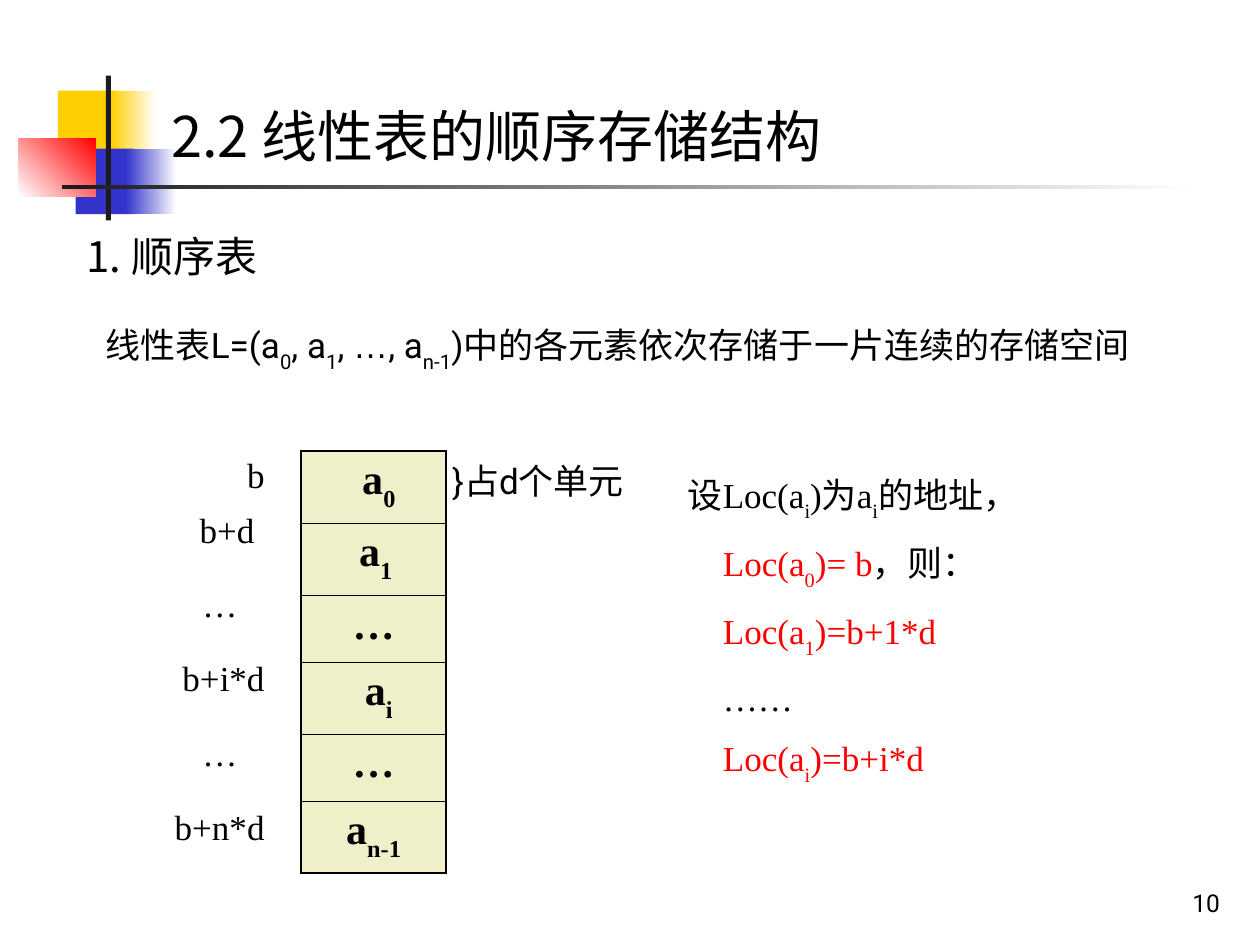
from lxml import etree
from pptx import Presentation
from pptx.dml.color import RGBColor
from pptx.enum.shapes import MSO_SHAPE as SHAPE
from pptx.enum.text import MSO_ANCHOR as ANCHOR, PP_ALIGN as ALIGN
from pptx.oxml.ns import qn
from pptx.util import Inches, Pt

BLACK = RGBColor(0x00, 0x00, 0x00)
WHITE = RGBColor(0xFF, 0xFF, 0xFF)
YELLOW = RGBColor(0xFF, 0xCF, 0x01)
BLUE = RGBColor(0x33, 0x33, 0xCC)
RED = RGBColor(0xFF, 0x00, 0x00)
INK = RGBColor(0x1C, 0x1C, 0x1C)
CREAM = RGBColor(0xEF, 0xF0, 0xCA)

SERIF, SANS = "Times New Roman", "Roboto"
CJK_SC, CJK_JP = "Noto Sans CJK SC", "Noto Sans CJK JP"


def add_runs(p, text, size, font, color=BLACK, bold=False):
    """Add text to a paragraph; parts between underscores become subscripts."""
    for i, part in enumerate(text.split("_")):
        if not part:
            continue
        r = p.add_run()
        r.text = part
        style = {"size": Pt(size), "name": font, "bold": bold}
        for name, value in style.items():
            setattr(r.font, name, value)
        r.font.color.rgb = color
        rPr = r._r.get_or_add_rPr()
        if i % 2:
            rPr.set("baseline", "-30000")
        ea = etree.SubElement(rPr, qn("a:ea"))
        ea.set("typeface", font if font == CJK_JP else CJK_SC)


def format_paragraph(p, **style):
    for name, value in style.items():
        setattr(p, name, value)


def add_textbox(slide, box, anchor=ANCHOR.TOP):
    tf = slide.shapes.add_textbox(*map(Inches, box)).text_frame
    tf.word_wrap = True
    tf.vertical_anchor = anchor
    return tf


def add_line_of_text(slide, box, text, size, font, anchor=ANCHOR.TOP, **style):
    p = add_textbox(slide, box, anchor).paragraphs[0]
    format_paragraph(p, **style)
    add_runs(p, text, size, font)


def add_block(slide, box, start, end=None, angle=0):
    """Add a borderless rectangle, solid or fading from start to end."""
    sp = slide.shapes.add_shape(SHAPE.RECTANGLE, *map(Inches, box))
    sp.shadow.inherit = False
    sp.line.fill.background()
    if end is None:
        sp.fill.solid()
        sp.fill.fore_color.rgb = start
        return
    sp.fill.gradient()
    sp.fill.gradient_angle = angle
    for stop, color in zip(sp.fill.gradient_stops, (start, end)):
        stop.color.rgb = color


def add_ornament(slide, left, top):
    blocks = [
        (0.31, 0.12, 0.48, 0.52, YELLOW),
        (0.73, 0.12, 0.36, 0.52, YELLOW, WHITE),
        (0.45, 0.58, 0.46, 0.52, BLUE),
        (0.85, 0.58, 0.40, 0.52, BLUE, WHITE),
        (0, 0.5, 0.61, 0.46, WHITE, RED, 45),
        (0.69, 0, 0.04, 1.15, INK),
        (0.34, 0.87, 9, 0.03, INK, WHITE),
    ]
    for x, y, w, h, *colors in blocks:
        add_block(slide, (left + x, top + y, w, h), *colors)


def add_column(slide, box, heights, fill):
    """Add a one-column table with plain filled cells and return the cells."""
    tbl = slide.shapes.add_table(len(heights), 1, *map(Inches, box)).table
    tbl.first_row = tbl.horz_banding = False
    cells = []
    for row, height in zip(tbl.rows, heights):
        row.height = Inches(height)
        cell = row.cells[0]
        cell.fill.solid()
        cell.fill.fore_color.rgb = fill
        cells.append(cell)
    return cells


def set_borders(cell, **widths):
    tcPr = cell._tc.get_or_add_tcPr()
    for i, (side, width) in enumerate(widths.items()):
        ln = etree.Element(qn(f"a:ln{side}"), w=str(Pt(width)))
        fill = etree.SubElement(ln, qn("a:solidFill"))
        etree.SubElement(fill, qn("a:srgbClr"), val=str(BLACK))
        tcPr.insert(i, ln)


def add_addresses(slide, box):
    rows = [("b", 0.18), ("b+d", 0.26), ("…", None),
            ("b+i*d", 0.18), ("…", None), ("b+n*d", 0.18)]
    cells = add_column(slide, box, [0.43] + [0.59] * 5, WHITE)
    for cell, (text, right) in zip(cells, rows):
        p = cell.text_frame.paragraphs[0]
        align = ALIGN.CENTER if right is None else ALIGN.RIGHT
        format_paragraph(p, alignment=align, space_before=Pt(5))
        if right is not None:
            cell.margin_right = Inches(right)
        add_runs(p, text, 20, SERIF)


def add_elements(slide, box):
    texts = [" a_0_", " a_1 _", "…", " a_i_", "…", "a_n-1_"]
    heights = [0.53 if text == "…" else 0.57 for text in texts]
    cells = add_column(slide, box, heights, CREAM)
    outer, inner = 1.08, 0.45
    for cell, text in zip(cells, texts):
        p = cell.text_frame.paragraphs[0]
        format_paragraph(p, alignment=ALIGN.CENTER, space_before=Pt(6))
        add_runs(p, text, 24, SERIF, bold=True)
        set_borders(cell, L=outer, R=outer,
                    T=outer if cell is cells[0] else inner,
                    B=outer if cell is cells[-1] else inner)


def add_statement(slide, box):
    p = add_textbox(slide, box).paragraphs[0]
    format_paragraph(p, line_spacing=1.2, space_before=Pt(5))
    add_runs(p, "线性表L=(a_0_, a_1_, ", 20, SANS)
    add_runs(p, "…", 20, "Arial")
    add_runs(p, ", a_n-1_)中的各元素依次存储于一片连续的存储空间", 20, SANS)


def add_formulas(slide, box):
    lines = [
        (0, [("设Loc(a_i_)为a_i_的地址，", BLACK)]),
        (0.28, [("Loc(a_0_)= b", RED), ("，则：", BLACK)]),
        (0.28, [("Loc(a_1_)=b+1*d", RED)]),
        (0.28, [("……", BLACK)]),
        (0.28, [("Loc(a_i_)=b+i*d", RED)]),
    ]
    tf = add_textbox(slide, box)
    for i, (indent, parts) in enumerate(lines):
        p = tf.add_paragraph() if i else tf.paragraphs[0]
        format_paragraph(p, alignment=ALIGN.JUSTIFY, line_spacing=1.2,
                         space_before=Pt(5))
        p._p.get_or_add_pPr().set("marL", str(Inches(indent)))
        for text, color in parts:
            add_runs(p, text, 20, SERIF, color)


def main():
    prs = Presentation()
    prs.slide_width, prs.slide_height = Inches(10), Inches(7.5)
    s = prs.slides.add_slide(prs.slide_layouts[6])
    add_ornament(s, 0.15, 0.6)
    add_line_of_text(s, (1.26, 0.76, 8.74, 0.64), "2.2 线性表的顺序存储结构",
                     32, CJK_JP, space_before=Pt(20))
    add_line_of_text(s, (0.59, 1.78, 7.4, 0.5), "1. 顺序表",
                     24, CJK_SC, space_before=Pt(15))
    add_statement(s, (0.74, 2.44, 8.63, 0.77))
    add_formulas(s, (5.36, 3.63, 4.44, 3.04))
    add_addresses(s, (1.21, 3.58, 1.07, 3.38))
    add_elements(s, (2.39, 3.58, 1.15, 3.34))
    add_line_of_text(s, (3.49, 3.59, 1.88, 0.44), "}占d个单元",
                     20, SANS, ANCHOR.BOTTOM)
    add_line_of_text(s, (7.7, 6.83, 2.08, 0.5), "10", 14, SANS,
                     ANCHOR.BOTTOM, alignment=ALIGN.RIGHT)
    prs.save("out.pptx")


if __name__ == "__main__":
    main()
